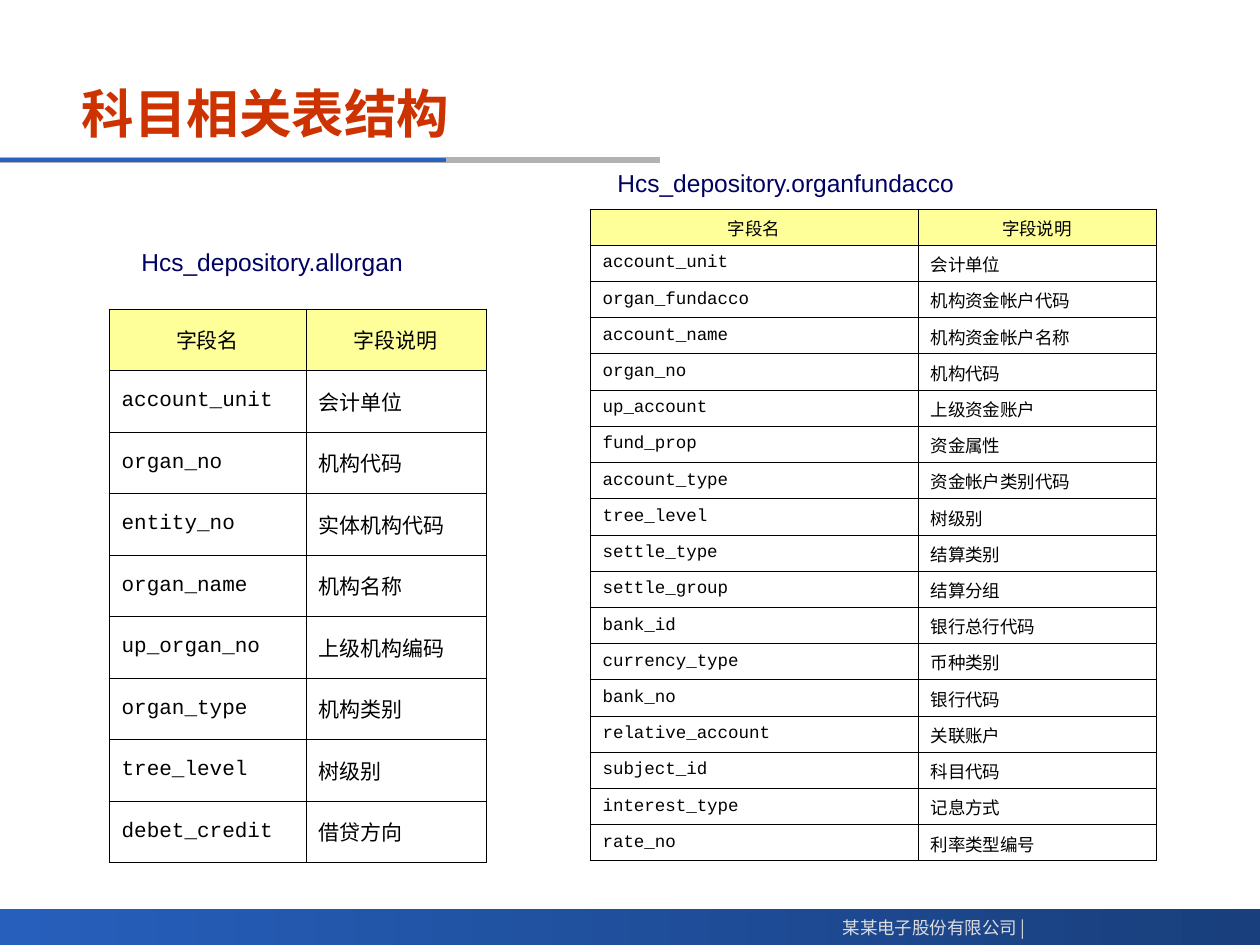
from lxml.etree import SubElement
from pptx import Presentation
from pptx.dml.color import RGBColor
from pptx.enum.shapes import MSO_CONNECTOR, MSO_SHAPE
from pptx.enum.text import MSO_ANCHOR, MSO_AUTO_SIZE, PP_ALIGN
from pptx.oxml.ns import qn
from pptx.util import Emu, Pt

TITLE = "科目相关表结构"
FOOTER = "某某电子股份有限公司 |"
HEADER = ("字段名", "字段说明")
CJK, CODE, LABEL = "Noto Sans CJK SC", "Courier New", "Arial"

# Boxes are left, top, width, height in px.
TABLES = [
    {
        "name": "Hcs_depository.allorgan", "name_box": (129, 244, 338, 39),
        "corner": (109, 309), "columns": (197, 180), "height": 554, "size": 12,
        "fields": [
            ("account_unit", "会计单位"),
            ("organ_no", "机构代码"),
            ("entity_no", "实体机构代码"),
            ("organ_name", "机构名称"),
            ("up_organ_no", "上级机构编码"),
            ("organ_type", "机构类别"),
            ("tree_level", "树级别"),
            ("debet_credit", "借贷方向"),
        ],
    },
    {
        "name": "Hcs_depository.organfundacco", "name_box": (605, 165, 417, 39),
        "corner": (590, 209), "columns": (328, 238), "height": 652, "size": 10,
        "fields": [
            ("account_unit", "会计单位"),
            ("organ_fundacco", "机构资金帐户代码"),
            ("account_name", "机构资金帐户名称"),
            ("organ_no", "机构代码"),
            ("up_account", "上级资金账户"),
            ("fund_prop", "资金属性"),
            ("account_type", "资金帐户类别代码"),
            ("tree_level", "树级别"),
            ("settle_type", "结算类别"),
            ("settle_group", "结算分组"),
            ("bank_id", "银行总行代码"),
            ("currency_type", "币种类别"),
            ("bank_no", "银行代码"),
            ("relative_account", "关联账户"),
            ("subject_id", "科目代码"),
            ("interest_type", "记息方式"),
            ("rate_no", "利率类型编号"),
        ],
    },
]
RULES = [(660, "B2B2B2", 3), (446, "2A60C0", 2.25)]
RULE_TOP = 160


def px(length):
    return Emu(round(length * 914400 / 126))


def color(value):
    return RGBColor.from_string(value)


def write(frame, text, font, size, ink, align=PP_ALIGN.LEFT, bold=False):
    para = frame.paragraphs[0]
    para.text = text
    para.alignment = align
    para.font.size = Pt(size)
    para.font.bold = bold
    para.font.color.rgb = color(ink)
    para.font.name = font
    defaults = para._p.pPr.find(qn("a:defRPr"))
    SubElement(defaults, qn("a:ea"), typeface=CJK)
    return para


def add_label(page, box, text, font, size, ink, align=PP_ALIGN.LEFT, wrap=True):
    frame = page.shapes.add_textbox(*map(px, box)).text_frame
    frame.word_wrap = wrap
    return write(frame, text, font, size, ink, align)


def add_borders(cell):
    properties = cell._tc.get_or_add_tcPr()
    for side in ("lnL", "lnR", "lnT", "lnB"):
        line = SubElement(properties, qn(f"a:{side}"), w=str(Pt(0.45)))
        fill = SubElement(line, qn("a:solidFill"))
        SubElement(fill, qn("a:srgbClr"), val="000000")


def add_field_table(page, spec_sheet):
    rows = [HEADER] + spec_sheet["fields"]
    widths = spec_sheet["columns"]
    box = (*spec_sheet["corner"], sum(widths), spec_sheet["height"])
    table = page.shapes.add_table(len(rows), len(widths), *map(px, box)).table
    for column, width in zip(table.columns, widths):
        column.width = px(width)
    for row_index, texts in enumerate(rows):
        is_header = row_index == 0
        table.rows[row_index].height = px(spec_sheet["height"] / len(rows))
        for column_index, text in enumerate(texts):
            cell = table.cell(row_index, column_index)
            add_borders(cell)
            cell.fill.solid()
            cell.fill.fore_color.rgb = color("FFFF99" if is_header else "FFFFFF")
            cell.vertical_anchor = MSO_ANCHOR.MIDDLE
            write(cell.text_frame, text,
                  CODE if is_header or column_index == 0 else CJK,
                  spec_sheet["size"], "000000",
                  PP_ALIGN.CENTER if is_header else PP_ALIGN.LEFT)


def add_footer(page):
    band = page.shapes.add_shape(MSO_SHAPE.RECTANGLE, *map(px, (0, 909, 1260, 36)))
    band.shadow.inherit = False
    band.line.fill.background()
    band.fill.gradient()
    band.fill.gradient_angle = 180
    for stop, value in zip(band.fill.gradient_stops, ("193F7C", "265FBC")):
        stop.color.rgb = color(value)
    add_label(page, (823, 911, 215, 34), FOOTER, CJK, 10, "DDDDDD",
              PP_ALIGN.RIGHT, wrap=False)


def add_rules(page):
    for end, value, weight in RULES:
        rule = page.shapes.add_connector(
            MSO_CONNECTOR.STRAIGHT, px(0), px(RULE_TOP), px(end), px(RULE_TOP))
        rule.line.color.rgb = color(value)
        rule.line.width = Pt(weight)
        SubElement(rule._element.spPr, qn("a:effectLst"))


def add_title(page):
    title = page.shapes.title
    title.left, title.top, title.width, title.height = map(px, (69, 71, 872, 84))
    frame = title.text_frame
    frame.auto_size = MSO_AUTO_SIZE.NONE
    frame.vertical_anchor = MSO_ANCHOR.MIDDLE
    write(frame, TITLE, LABEL, 30, "CC3300", bold=True)


def main():
    deck = Presentation()
    deck.slide_width, deck.slide_height = px(1260), px(945)
    page = deck.slides.add_slide(deck.slide_layouts[5])
    add_footer(page)
    add_rules(page)
    add_title(page)
    for field_table in TABLES:
        add_field_table(page, field_table)
        name = add_label(page, field_table["name_box"], field_table["name"],
                         LABEL, 14, "000064")
        name.line_spacing = 0.9
    deck.save("out.pptx")


if __name__ == "__main__":
    main()
